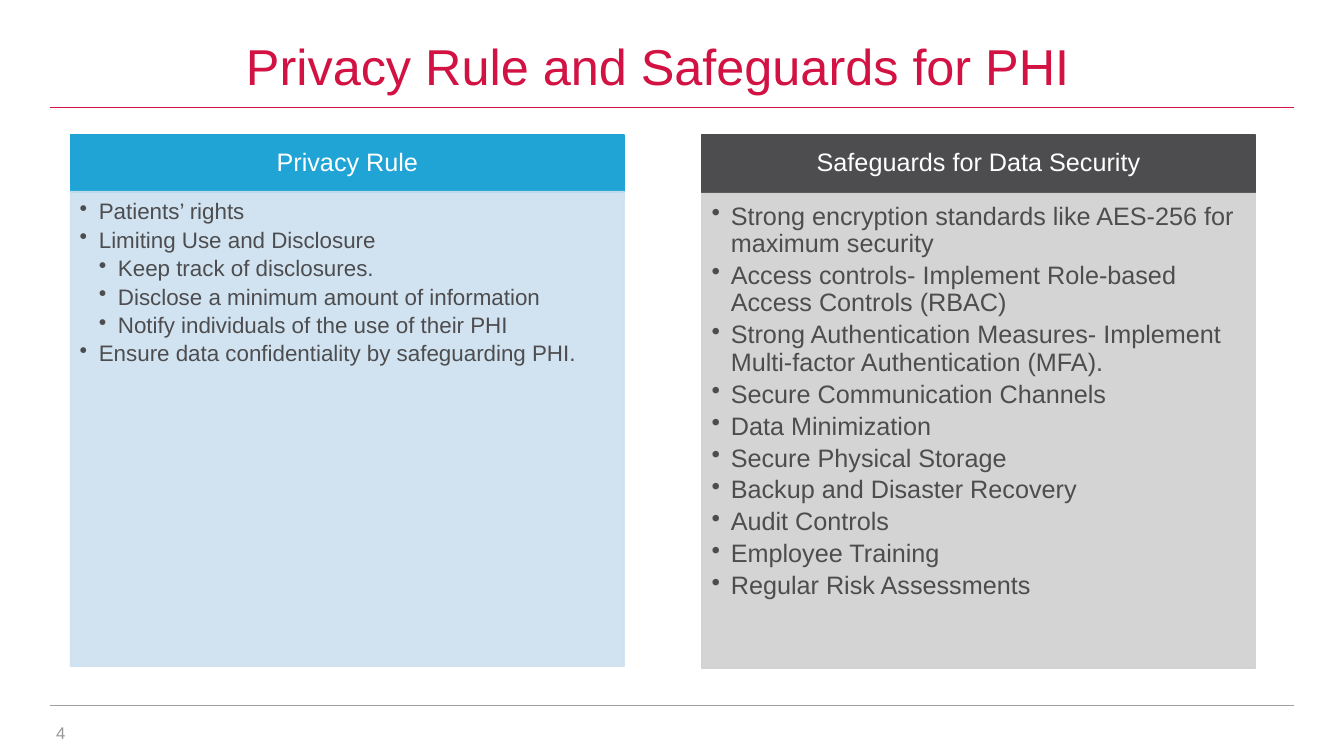
from dataclasses import dataclass

from lxml.etree import SubElement
from pptx import Presentation
from pptx.dml.color import RGBColor
from pptx.enum.shapes import MSO_CONNECTOR, MSO_SHAPE
from pptx.enum.text import MSO_ANCHOR, PP_ALIGN
from pptx.oxml.ns import qn
from pptx.shapes.autoshape import Shape
from pptx.slide import Slide
from pptx.text.text import TextFrame
from pptx.util import Inches, Pt

FACE = "Arial"
RED = RGBColor(0xD1, 0x12, 0x42)
RULE = RGBColor(0x9D, 0x9F, 0xA2)
GRAY = RGBColor(0x97, 0x97, 0x97)
BLUE = RGBColor(0x20, 0xA4, 0xD6)
PALE = RGBColor(0xCD, 0xE0, 0xF0)
DARK = RGBColor(0x4D, 0x4D, 0x4F)
LIGHT = RGBColor(0xD0, 0xD0, 0xD0)
WHITE = RGBColor(0xFF, 0xFF, 0xFF)

TOP, WIDE, HEAD, BODY = 1.34, 5.49, 0.57, 4.71
INDENT = 0.19


@dataclass
class Item:
    text: str
    level: int = 0


@dataclass
class Panel:
    title: str
    left: float
    top: float
    color: RGBColor
    fill: RGBColor
    size: int
    insets: tuple[float, float, float, float]
    items: list[Item]


PANELS = [
    Panel("Privacy Rule", 0.7, 1.9, BLUE, PALE, 16, (0.09, 0.09, 0.12, 0.14), [
        Item("Patients’ rights"),
        Item("Limiting Use and Disclosure"),
        Item("Keep track of disclosures.", 1),
        Item("Disclose a minimum amount of information", 1),
        Item("Notify individuals of the use of their PHI", 1),
        Item("Ensure data confidentiality by safeguarding PHI."),
    ]),
    Panel("Safeguards for Data Security", 6.96, 1.92, DARK, LIGHT, 18,
          (0.1, 0.1, 0.14, 0.16), [
        Item("Strong encryption standards like AES-256 for maximum security"),
        Item("Access controls- Implement Role-based Access Controls (RBAC)"),
        Item("Strong Authentication Measures- Implement "
             "Multi-factor Authentication (MFA)."),
        Item("Secure Communication Channels"),
        Item("Data Minimization"),
        Item("Secure Physical Storage"),
        Item("Backup and Disaster Recovery"),
        Item("Audit Controls"),
        Item("Employee Training"),
        Item("Regular Risk Assessments"),
    ]),
]


def inset(frame: TextFrame, left: float, top: float, right: float, low: float) -> None:
    frame.margin_left, frame.margin_top = Inches(left), Inches(top)
    frame.margin_right, frame.margin_bottom = Inches(right), Inches(low)


def write(frame: TextFrame, text: str, size: int, color: RGBColor,
          align: PP_ALIGN, anchor: MSO_ANCHOR) -> None:
    """Fill a frame with one styled line of text."""
    frame.vertical_anchor = anchor
    line = frame.paragraphs[0]
    line.text = text
    line.alignment = align
    line.line_spacing = 0.9
    line.font.name, line.font.size = FACE, Pt(size)
    line.font.color.rgb = color


def add_rule(slide: Slide, y: float, color: RGBColor) -> None:
    rule = slide.shapes.add_connector(
        MSO_CONNECTOR.STRAIGHT, Inches(0.5), Inches(y), Inches(12.83), Inches(y))
    rule.line.color.rgb = color
    rule.line.width = Pt(0.5)
    SubElement(rule._element.spPr, qn("a:effectLst"))


def add_block(slide: Slide, left: float, top: float, high: float,
              color: RGBColor) -> Shape:
    block = slide.shapes.add_shape(
        MSO_SHAPE.RECTANGLE, Inches(left), Inches(top), Inches(WIDE), Inches(high))
    block.shadow.inherit = False
    block.fill.solid()
    block.fill.fore_color.rgb = color
    block.line.color.rgb = color
    block.line.width = Pt(1)
    block.text_frame.word_wrap = True
    return block


def fade(shape: Shape, share: int) -> None:
    """Set the opacity of fill and line, in percent."""
    for color in shape._element.spPr.iter(qn("a:srgbClr")):
        SubElement(color, qn("a:alpha"), val=str(share * 1000))


def add_list(frame: TextFrame, items: list[Item], size: int) -> None:
    frame.vertical_anchor = MSO_ANCHOR.TOP
    for i, item in enumerate(items):
        line = frame.add_paragraph() if i else frame.paragraphs[0]
        line.text = item.text
        line.level = item.level
        line.alignment = PP_ALIGN.LEFT
        line.line_spacing = 0.9
        line.space_after = Pt(round(0.19 * size, 1))
        props = line._p.get_or_add_pPr()
        props.set("marL", str(Inches(INDENT * (item.level + 1))))
        props.set("indent", str(-Inches(INDENT)))
        SubElement(props, qn("a:buChar"), char="•")
        line.font.name, line.font.size = FACE, Pt(size)
        line.font.color.rgb = DARK


def add_panel(slide: Slide, panel: Panel) -> None:
    head = add_block(slide, panel.left, TOP, HEAD, panel.color)
    inset(head.text_frame, 0.14, 0.08, 0.14, 0.08)
    write(head.text_frame, panel.title, 18, WHITE,
          PP_ALIGN.CENTER, MSO_ANCHOR.MIDDLE)
    body = add_block(slide, panel.left, panel.top, BODY, panel.fill)
    fade(body, 90)
    inset(body.text_frame, *panel.insets)
    add_list(body.text_frame, panel.items, panel.size)


def main() -> None:
    deck = Presentation()
    deck.slide_width, deck.slide_height = Inches(13.33), Inches(7.5)
    slide = deck.slides.add_slide(deck.slide_layouts[6])
    add_rule(slide, 7, RULE)
    add_rule(slide, 1.07, RED)

    page = slide.shapes.add_textbox(
        Inches(0.46), Inches(7.1), Inches(0.24), Inches(0.36)).text_frame
    inset(page, 0.05, 0.05, 0.05, 0.05)
    write(page, "4", 12, GRAY, PP_ALIGN.RIGHT, MSO_ANCHOR.MIDDLE)

    title = slide.shapes.add_textbox(
        Inches(0.38), Inches(0.29), Inches(12.43), Inches(0.72)).text_frame
    title.word_wrap = True
    write(title, "Privacy Rule and Safeguards for PHI ", 36, RED,
          PP_ALIGN.CENTER, MSO_ANCHOR.BOTTOM)

    for panel in PANELS:
        add_panel(slide, panel)
    deck.save("out.pptx")


if __name__ == "__main__":
    main()
